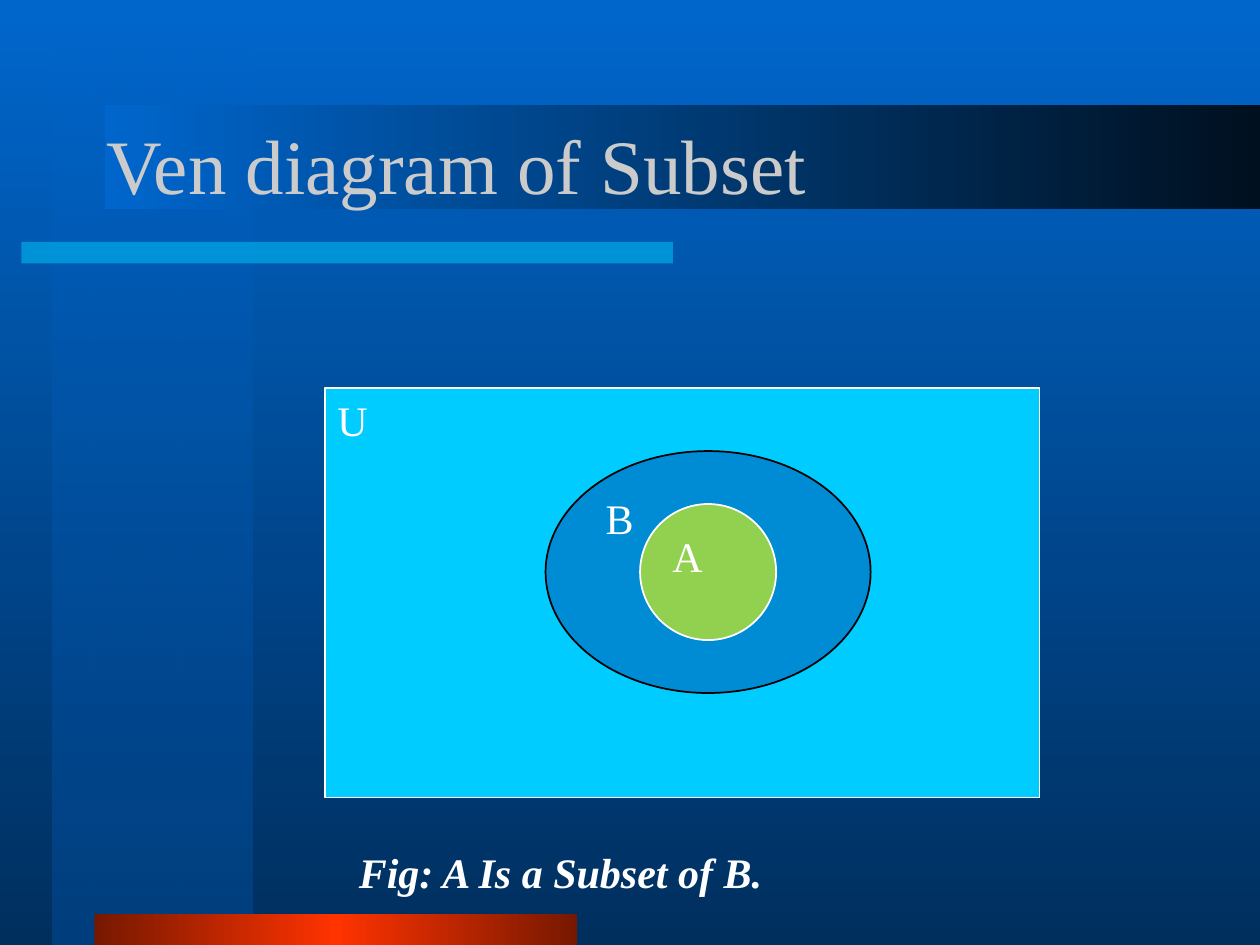
"""Build a slide with a Venn diagram showing that A is a subset of B."""
from lxml import etree
from pptx import Presentation
from pptx.dml.color import RGBColor
from pptx.enum.shapes import MSO_SHAPE as SHAPE
from pptx.enum.text import MSO_ANCHOR as ANCHOR, MSO_AUTO_SIZE as AUTO, PP_ALIGN as ALIGN
from pptx.oxml.ns import qn
from pptx.util import Inches, Pt

FONT = "Times New Roman"
C = {
    "blue": "0066CC", "navy": "002F5E", "band": "003F7E", "night": "00101F",
    "cyan": "00CCFF", "rust": "761800", "red": "FF3300", "title": "CBCBCB",
    "set": "008CD5", "green": "92D050", "white": "FFFFFF", "black": "000000",
}
BACKGROUND = ([(0, "blue", 100), (100, "navy", 100)], 90)
DECOR = [
    ((0.42, 0, 1.58, 7.5), [(0, "blue", 50), (100, "band", 100)], 90),
    ((0.17, 1.92, 5.17, 0.17), [(0, "cyan", 50), (100, "cyan", 50)], 0),
    ((0.75, 7.25, 3.83, 0.25), [(0, "rust", 100), (50, "red", 100), (100, "rust", 100)], 0),
    ((0.83, 0.83, 9.17, 0.83), [(0, "blue", 100), (100, "night", 100)], 0),
]
SETS = [
    ("U", SHAPE.RECTANGLE, (2.58, 3.08, 5.67, 3.25), "cyan", "white"),
    ("B", SHAPE.OVAL, (4.33, 3.58, 2.58, 1.92), "set", "black"),
    ("A", SHAPE.OVAL, (5.08, 4, 1.08, 1.08), "green", "white"),
]
TITLE = ("Ven diagram of Subset", (0.75, 0.67, 8.5, 1.25))
CAPTION = ("Fig: A Is a Subset of B.", (2.75, 6.67, 3.44, 0.51))


def rgb(name):
    return RGBColor.from_string(C[name])


def set_gradient(fill, parent, stops, angle):
    fill.solid()
    solid = next(parent.iter(qn("a:solidFill")))
    grad = etree.Element(qn("a:gradFill"), rotWithShape="1")
    gs_list = etree.SubElement(grad, qn("a:gsLst"))
    for pos, color, opacity in stops:
        gs = etree.SubElement(gs_list, qn("a:gs"), pos=str(pos * 1000))
        clr = etree.SubElement(gs, qn("a:srgbClr"), val=C[color])
        if opacity < 100:
            etree.SubElement(clr, qn("a:alpha"), val=str(opacity * 1000))
    etree.SubElement(grad, qn("a:lin"), ang=str(angle * 60000), scaled="0")
    solid.getparent().replace(solid, grad)


def add_shape(s, kind, box):
    sp = s.shapes.add_shape(kind, *map(Inches, box))
    sp.shadow.inherit = False
    return sp


def write(sp, text, size=24, color="white", anchor=ANCHOR.TOP, before=3, wrap=True):
    tf = sp.text_frame
    tf.word_wrap = wrap
    tf.vertical_anchor = anchor
    p = tf.paragraphs[0]
    p.text = text
    p.alignment = ALIGN.LEFT
    p.space_before = Pt(before)
    p.font.name, p.font.size = FONT, Pt(size)
    p.font.color.rgb = rgb(color)
    return p


def main():
    prs = Presentation()
    prs.slide_width, prs.slide_height = Inches(10), Inches(7.5)
    s = prs.slides.add_slide(prs.slide_layouts[6])
    set_gradient(s.background.fill, s.element, *BACKGROUND)

    for box, stops, angle in DECOR:
        sp = add_shape(s, SHAPE.RECTANGLE, box)
        set_gradient(sp.fill, sp.element.spPr, stops, angle)
        sp.line.fill.background()

    text, box = TITLE
    sp = s.shapes.add_textbox(*map(Inches, box))
    write(sp, text, 44, "title", ANCHOR.MIDDLE, 0)

    for name, kind, box, fill, line in SETS:
        sp = add_shape(s, kind, box)
        sp.fill.solid()
        sp.fill.fore_color.rgb = rgb(fill)
        sp.line.color.rgb = rgb(line)
        sp.line.width = Pt(1)
        write(sp, name)

    text, box = CAPTION
    sp = s.shapes.add_textbox(*map(Inches, box))
    p = write(sp, text, wrap=False)
    p.font.bold = p.font.italic = True
    sp.text_frame.auto_size = AUTO.SHAPE_TO_FIT_TEXT

    prs.save("out.pptx")


if __name__ == "__main__":
    main()
